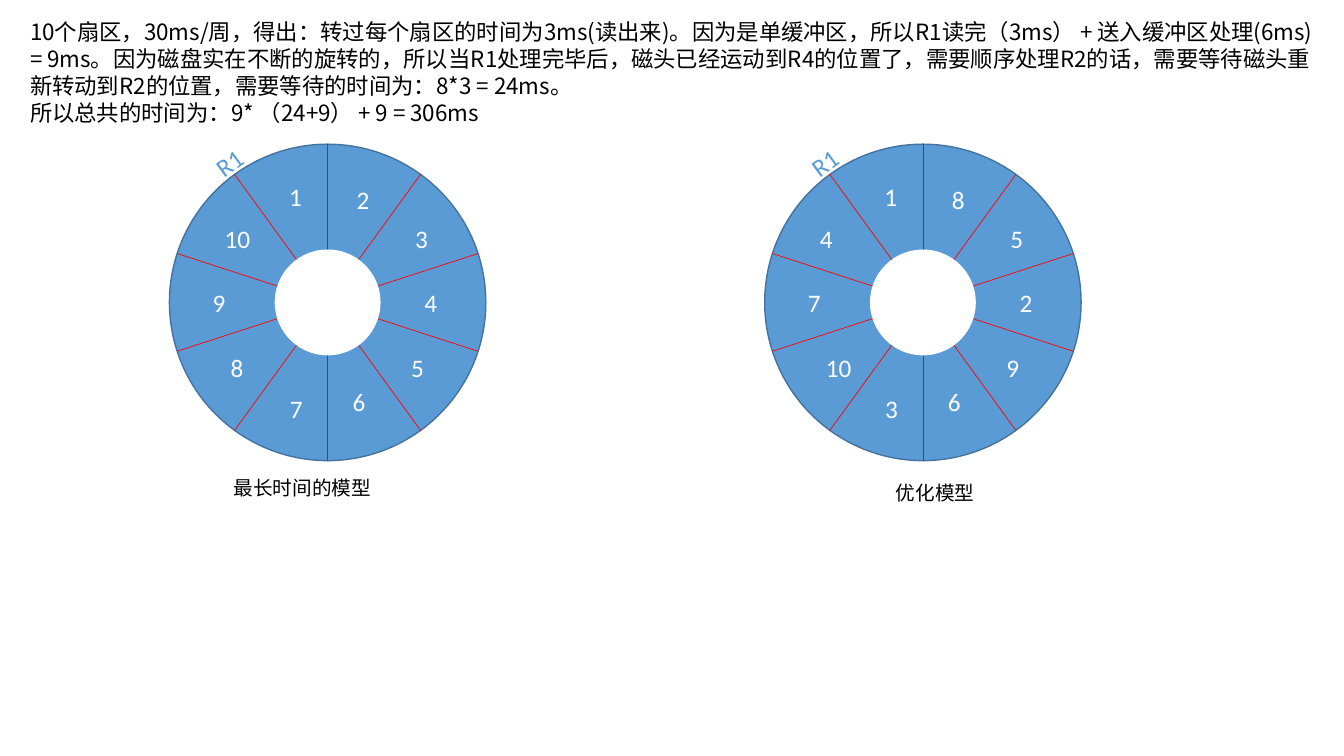
"""Build a slide comparing two sector layouts of a spinning disk."""
import math
from dataclasses import dataclass
from typing import Any

import lxml.etree
import pptx
import pptx.dml.color
import pptx.enum.shapes
import pptx.enum.text
import pptx.oxml.ns
import pptx.util

Pt = pptx.util.Pt
COLORS = {
    "disk": "5B9BD5",
    "rim": "43739E",
    "spoke": "FF0000",
    "white": "FFFFFF",
    "black": "000000",
}
CHINESE_FONT = "Noto Sans CJK SC"
FORMATS: dict[str, dict[str, Any]] = {
    "body": {"size": Pt(16), "name": CHINESE_FONT},
    "caption": {"size": Pt(14), "name": CHINESE_FONT},
    "sector": {"size": Pt(18), "name": "Calibri"},
}
SECTOR_COUNT = 10
DISK_TOP = 103
DISK_SIZE = 226
HUB_SIZE = 75.6
LABEL_HEIGHT = 29
TWO_DIGIT_WIDTH = 37
EXPLANATION = [
    "10个扇区，30ms/周，得出：转过每个扇区的时间为3ms(读出来)。因为是单缓冲区，所以R1读完（3ms） + 送入缓冲区处理(6ms) = 9ms。"
    "因为磁盘实在不断的旋转的，所以当R1处理完毕后，磁头已经运动到R4的位置了，需要顺序处理R2的话，"
    "需要等待磁头重新转动到R2的位置，需要等待的时间为：8*3 = 24ms。",
    "所以总共的时间为：9* （24+9） + 9 = 306ms",
]


@dataclass(frozen=True)
class Box:
    """Hold a rectangle in points."""

    left: float
    top: float
    width: float
    height: float = LABEL_HEIGHT

    def lengths(self) -> list[pptx.util.Length]:
        """Return left, top, width and height as lengths."""
        return [Pt(value) for value in (self.left, self.top, self.width, self.height)]


@dataclass(frozen=True)
class Disk:
    """Hold one disk model with its sector numbers and caption."""

    left: float
    numbers: tuple[int, ...]
    caption: str
    caption_box: Box


SECTOR_SLOTS = [
    Box(78.5, 23, 20.2),
    Box(126.7, 25.2, 23.8),
    Box(168.5, 53.3, 20.2),
    Box(175, 98.6, 20.2),
    Box(165.6, 145.4, 20.2),
    Box(123.8, 169.2, 20.2),
    Box(79, 174.2, 20.2),
    Box(36.7, 145.4, 20.2),
    Box(23.8, 98.6, 20.2),
    Box(32.4, 53.3, 40.3),
]
START_SLOT = Box(25.9, -2.2, 35.3)
DISKS = [
    Disk(121, tuple(range(1, 11)), "最长时间的模型", Box(159.8, 336.2, 118.8, 24.2)),
    Disk(546.2, (1, 8, 5, 2, 9, 6, 3, 10, 7, 4), "优化模型", Box(632.9, 339.8, 74.9, 24.2)),
]


def color(name: str) -> pptx.dml.color.RGBColor:
    """Return a palette colour."""
    return pptx.dml.color.RGBColor.from_string(COLORS[name])


def add_text(shapes: Any, box: Box, lines: list[str], style: str, ink: str, rotation: float = 0) -> None:
    """Add a wrapped text box with one paragraph per line."""
    shape = shapes.add_textbox(*box.lengths())
    shape.rotation = rotation
    frame = shape.text_frame
    frame.word_wrap = True
    frame.auto_size = pptx.enum.text.MSO_AUTO_SIZE.SHAPE_TO_FIT_TEXT
    for index, line in enumerate(lines):
        paragraph = frame.add_paragraph() if index else frame.paragraphs[0]
        run = paragraph.add_run()
        run.text = line
        for attribute, value in FORMATS[style].items():
            setattr(run.font, attribute, value)
        run.font.color.rgb = color(ink)
        east_asian = lxml.etree.SubElement(run._r.get_or_add_rPr(), pptx.oxml.ns.qn("a:ea"))
        east_asian.set("typeface", CHINESE_FONT)


def add_round(shapes: Any, kind: pptx.enum.shapes.MSO_SHAPE, box: Box, fill: str) -> Any:
    """Add a filled round shape without outline or shadow."""
    shape = shapes.add_shape(kind, *box.lengths())
    shape.shadow.inherit = False
    shape.fill.solid()
    shape.fill.fore_color.rgb = color(fill)
    shape.line.fill.background()
    return shape


def add_spoke(shapes: Any, center_x: float, center_y: float, angle: float) -> None:
    """Add a diameter line at an angle clockwise from the top."""
    across = DISK_SIZE / 2 * math.sin(angle)
    upward = DISK_SIZE / 2 * math.cos(angle)
    ends = (center_x + across, center_y - upward, center_x - across, center_y + upward)
    spoke = shapes.add_connector(pptx.enum.shapes.MSO_CONNECTOR.STRAIGHT, *(Pt(value) for value in ends))
    spoke.line.color.rgb = color("spoke")
    spoke.line.width = Pt(0.5)
    lxml.etree.SubElement(spoke._element.spPr, pptx.oxml.ns.qn("a:effectLst"))


def add_disk(slide: Any, disk: Disk) -> None:
    """Add a grouped disk and its caption."""
    shapes = slide.shapes.add_group_shape().shapes
    kinds = pptx.enum.shapes.MSO_SHAPE
    ring = add_round(shapes, kinds.DONUT, Box(disk.left, DISK_TOP, DISK_SIZE, DISK_SIZE), "disk")
    ring.adjustments[0] = 0.37
    ring.line.color.rgb = color("rim")
    ring.line.width = Pt(1)

    center_x, center_y = disk.left + DISK_SIZE / 2, DISK_TOP + DISK_SIZE / 2
    for index in range(SECTOR_COUNT // 2):
        add_spoke(shapes, center_x, center_y, index * math.tau / SECTOR_COUNT)
    hub = Box(center_x - HUB_SIZE / 2, center_y - HUB_SIZE / 2, HUB_SIZE, HUB_SIZE)
    add_round(shapes, kinds.OVAL, hub, "white")

    for slot, number in zip(SECTOR_SLOTS, disk.numbers):
        width = max(slot.width, TWO_DIGIT_WIDTH) if number > 9 else slot.width
        box = Box(disk.left + slot.left, DISK_TOP + slot.top, width)
        add_text(shapes, box, [str(number)], "sector", "white")
    start = Box(disk.left + START_SLOT.left, DISK_TOP + START_SLOT.top, START_SLOT.width)
    add_text(shapes, start, ["R1"], "sector", "disk", 323.8)
    add_text(slide.shapes, disk.caption_box, [disk.caption], "caption", "black")


def main() -> None:
    """Build and save the presentation."""
    presentation = pptx.Presentation()
    presentation.slide_width, presentation.slide_height = Pt(960), Pt(540)
    slide = presentation.slides.add_slide(presentation.slide_layouts[6])
    add_text(slide.shapes, Box(14.4, 9.4, 931, 87), EXPLANATION, "body", "black")
    for disk in DISKS:
        add_disk(slide, disk)
    presentation.save("out.pptx")


if __name__ == "__main__":
    main()
